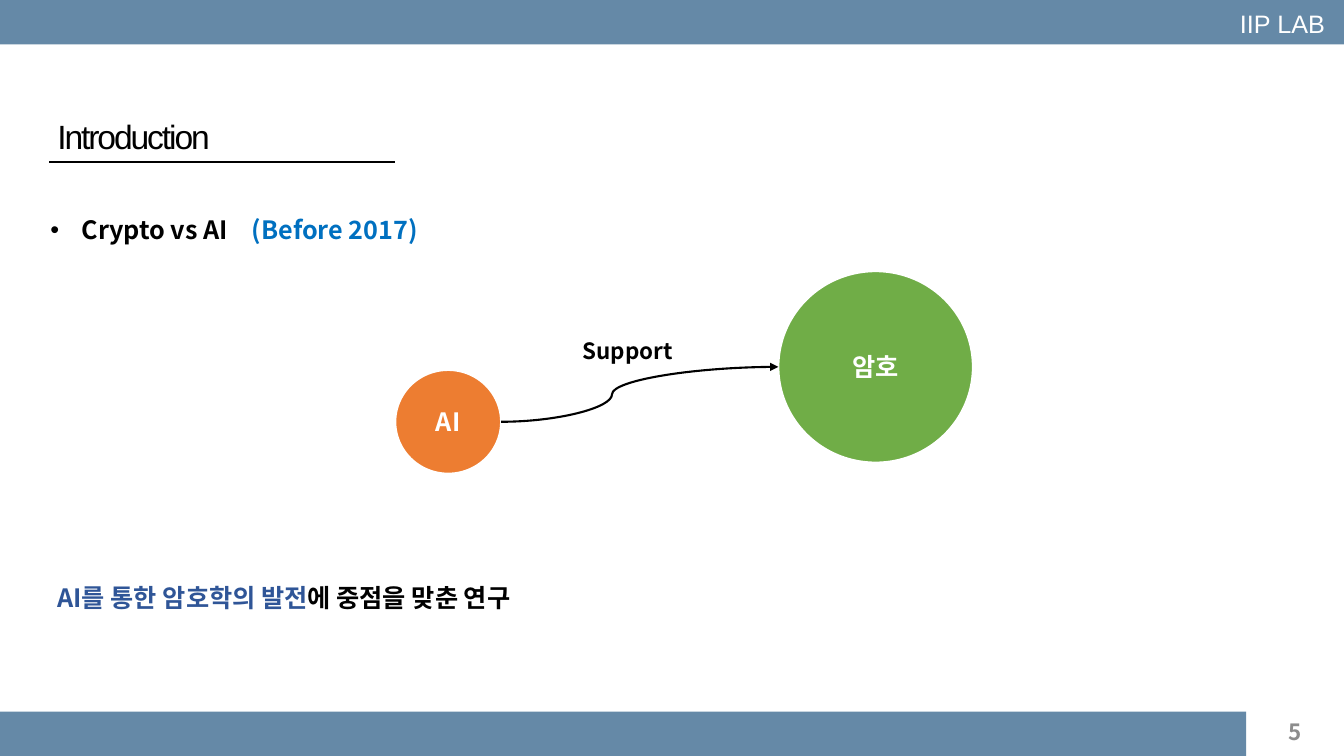
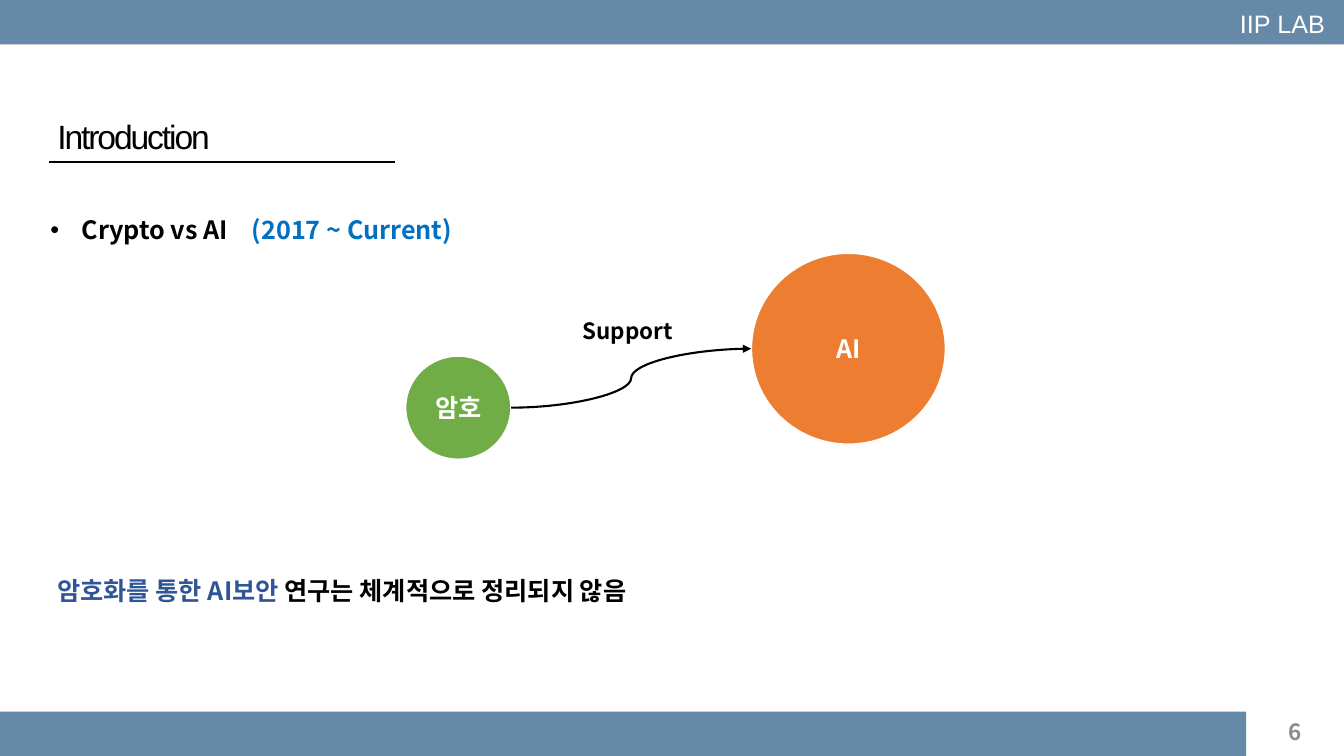
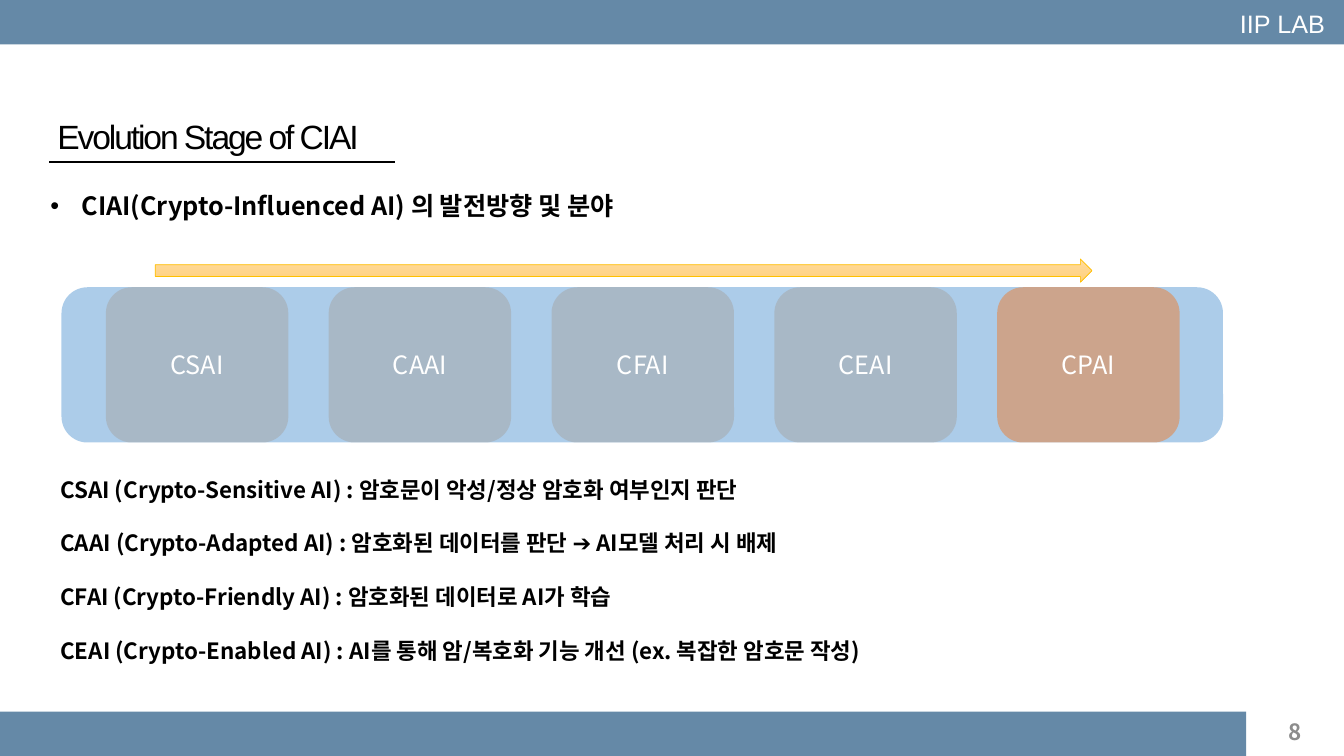
from lxml.etree import SubElement
from pptx import Presentation
from pptx.dml.color import RGBColor
from pptx.enum.shapes import MSO_CONNECTOR as Connector, MSO_SHAPE as Shape
from pptx.enum.text import MSO_ANCHOR as Anchor, MSO_AUTO_SIZE as AutoSize, PP_ALIGN as Align
from pptx.oxml.ns import qn
from pptx.util import Inches, Pt

SANS, BODY = "Arial", "Noto Sans CJK KR"
BLACK, WHITE, GRAY = "000000", "FFFFFF", "8C8C8C"
BAND, DATE_BLUE, EMPHASIS = "6589A7", "0070C0", "2F5597"
GREEN, ORANGE, SILVER, SKY = "70AD47", "ED7D31", "A5A5A5", "5B9BD5"
SLIDE_W, SLIDE_H, BAND_H = 13.33, 7.5, 0.44
SMALL, LARGE = (1.05, 1.03), (1.93, 1.9)


def color(hex_text):
    return RGBColor.from_string(hex_text)


def add_span(para, text, size, hue=BLACK, bold=True, font=BODY, spacing=None):
    span = para.add_run()
    span.text = text
    span.font.size = Pt(size)
    span.font.bold = bold
    span.font.color.rgb = color(hue)
    span.font.name = font
    properties = span.font._element
    SubElement(properties, qn("a:ea")).set("typeface", font)
    if spacing is not None:
        properties.set("spc", str(round(spacing * 100)))


def add_text(page, left, top, width, height, spans, size=18, wrap=True, **style):
    """Add a one-paragraph box; spans are (text, colour) pairs."""
    box = page.shapes.add_textbox(*map(Inches, (left, top, width, height)))
    frame = box.text_frame
    frame.word_wrap = wrap
    frame.auto_size = AutoSize.SHAPE_TO_FIT_TEXT
    for text, hue in spans:
        add_span(frame.paragraphs[0], text, size, hue, **style)
    return box


def add_figure(page, kind, left, top, width, height, fill=None, alpha=None,
               label="", bold=False):
    figure = page.shapes.add_shape(kind, *map(Inches, (left, top, width, height)))
    figure.shadow.inherit = False
    figure.line.fill.background()
    if fill:
        figure.fill.solid()
        figure.fill.fore_color.rgb = color(fill)
    if alpha is not None:
        hue = figure.fill._xPr.find(".//" + qn("a:srgbClr"))
        SubElement(hue, qn("a:alpha")).set("val", str(alpha * 1000))
    if label:
        figure.text_frame.vertical_anchor = Anchor.MIDDLE
        para = figure.text_frame.paragraphs[0]
        para.alignment = Align.CENTER
        add_span(para, label, 18, WHITE, bold)
    return figure


def add_line(page, start, end, kind=Connector.STRAIGHT):
    line = page.shapes.add_connector(kind, *map(Inches, (*start, *end)))
    line.line.color.rgb = color(BLACK)
    line.line.width = Pt(1.5)
    SubElement(line._element.spPr, qn("a:effectLst"))
    return line


def add_curved_arrow(page, start, end, bend):
    """Bend is the share of the width at which the curve turns."""
    arrow = add_line(page, start, end, Connector.CURVE)
    SubElement(arrow.line._get_or_add_ln(), qn("a:tailEnd")).set("type", "triangle")
    geometry = arrow._element.spPr.find(qn("a:prstGeom"))
    guides = geometry.find(qn("a:avLst"))
    if guides is None:
        guides = SubElement(geometry, qn("a:avLst"))
    guide = SubElement(guides, qn("a:gd"))
    guide.set("name", "adj1")
    guide.set("fmla", f"val {round(bend * 100000)}")


def add_bullet(page, top, spans):
    box = add_text(page, 0.4, top, 10.29, 0.4, spans)
    properties = box.text_frame.paragraphs[0]._p.get_or_add_pPr()
    properties.set("marL", str(Inches(0.31)))
    properties.set("indent", str(Inches(-0.31)))
    SubElement(properties, qn("a:buFont")).set("typeface", SANS)
    SubElement(properties, qn("a:buChar")).set("char", "•")
    tabs = SubElement(properties, qn("a:tabLst"))
    tab = SubElement(tabs, qn("a:tab"))
    tab.set("pos", str(Inches(2)))
    tab.set("algn", "l")


def add_page(deck, title, number):
    """Add a slide with its bands, lab name, underlined title and number."""
    page = deck.slides.add_slide(deck.slide_layouts[6])
    box = add_text(page, 12.59, 7.06, 0.42, 0.4, [(str(number), GRAY)], size=16)
    box.text_frame.auto_size = AutoSize.NONE
    box.text_frame.vertical_anchor = Anchor.MIDDLE
    box.text_frame.paragraphs[0].alignment = Align.RIGHT
    add_figure(page, Shape.RECTANGLE, 0, SLIDE_H - BAND_H, 12.36, BAND_H, BAND)
    add_figure(page, Shape.RECTANGLE, 0, 0, SLIDE_W, BAND_H, BAND)
    add_text(page, 12.2, 0.03, 1.05, 0.4, [("IIP LAB", WHITE)], wrap=False,
             bold=False, font=SANS)
    add_line(page, (0.49, 1.61), (3.92, 1.61))
    add_text(page, 0.47, 1.1, 7.5, 0.5, [(title, BLACK)], size=24,
             bold=False, font=SANS, spacing=-1.5)
    return page


def add_circle(page, left, top, size, fill, label):
    circle = add_figure(page, Shape.OVAL, left, top, *size, fill, label=label, bold=True)
    circle.line.color.rgb = color(WHITE)
    circle.line.width = Pt(1.5)


def add_support_page(deck, number, period, helper, helped, bend, label_top,
                     summary_top, summary):
    """Helper and helped are (left, top, fill, label) of the two circles."""
    page = add_page(deck, "Introduction", number)
    for (left, top, fill, label), size in ((helper, SMALL), (helped, LARGE)):
        add_circle(page, left, top, size, fill, label)
    add_bullet(page, 2.08, [("Crypto vs AI\t", BLACK), (period, DATE_BLUE)])
    start = (helper[0] + SMALL[0], helper[1] + SMALL[1] / 2)
    end = (helped[0], helped[1] + LARGE[1] / 2)
    add_curved_arrow(page, start, end, bend)
    add_text(page, 5.68, label_top, 1.19, 0.37, [("Support", BLACK)], size=16)
    add_text(page, 0.47, summary_top, 10.29, 0.4, summary)


def add_definitions(page, lines):
    box = page.shapes.add_textbox(*map(Inches, (0.5, 4.67, 10.29, 2.02)))
    frame = box.text_frame
    frame.word_wrap = True
    for index, line in enumerate(lines):
        para = frame.add_paragraph() if index else frame.paragraphs[0]
        para.line_spacing = Pt(19.2)
        para.space_after = Pt(19.2)
        add_span(para, line, 16)


def add_progress_arrow(page):
    arrow = add_figure(page, Shape.RIGHT_ARROW, 1.54, 2.57, 9.29, 0.23)
    arrow.fill.gradient()
    arrow.fill.gradient_angle = 270
    for stop, hue in zip(arrow.fill.gradient_stops, ("FFDB9E", "FFD07C")):
        stop.color.rgb = color(hue)
    arrow.line.color.rgb = color("FFC000")
    arrow.line.width = Pt(0.5)


def add_stage_page(deck, number):
    page = add_page(deck, "Evolution Stage of CIAI", number)
    add_bullet(page, 1.84, [("CIAI(Crypto-Influenced AI) 의 발전방향 및 분야", BLACK)])
    top, height = 2.85, 1.54
    add_figure(page, Shape.ROUNDED_RECTANGLE, 0.61, top, 11.52, height, SKY, 50)
    stages = ("CSAI", "CAAI", "CFAI", "CEAI", "CPAI")
    for index, stage in enumerate(stages):
        fill = ORANGE if stage == stages[-1] else SILVER
        add_figure(page, Shape.ROUNDED_RECTANGLE, 1.05 + 2.21 * index, top, 1.81,
                   height, fill, 50, stage)
    add_definitions(page, (
        "CSAI (Crypto-Sensitive AI) : 암호문이 악성/정상 암호화 여부인지 판단",
        "CAAI (Crypto-Adapted AI) : 암호화된 데이터를 판단 ➔ AI모델 처리 시 배제",
        "CFAI (Crypto-Friendly AI) : 암호화된 데이터로 AI가 학습",
        "CEAI (Crypto-Enabled AI) : AI를 통해 암/복호화 기능 개선 (ex. 복잡한 암호문 작성)",
    ))
    add_progress_arrow(page)


def main():
    deck = Presentation()
    deck.slide_width, deck.slide_height = Inches(SLIDE_W), Inches(SLIDE_H)
    add_support_page(
        deck, 5, "(Before 2017)", (3.92, 3.67, ORANGE, "AI"),
        (7.72, 2.69, GREEN, "암호"), 0.4, 3.3, 5.73,
        [("AI를 통한 암호학의 발전", EMPHASIS), ("에 중점을 맞춘 연구", BLACK)])
    add_support_page(
        deck, 6, "(2017 ~ Current)", (4.02, 3.53, GREEN, "암호"),
        (7.45, 2.51, ORANGE, "AI"), 0.5, 3.1, 5.66,
        [("암호화를 통한 AI보안 ", EMPHASIS), ("연구는 체계적으로 정리되지 않음", BLACK)])
    add_stage_page(deck, 8)
    deck.save("out.pptx")


if __name__ == "__main__":
    main()
